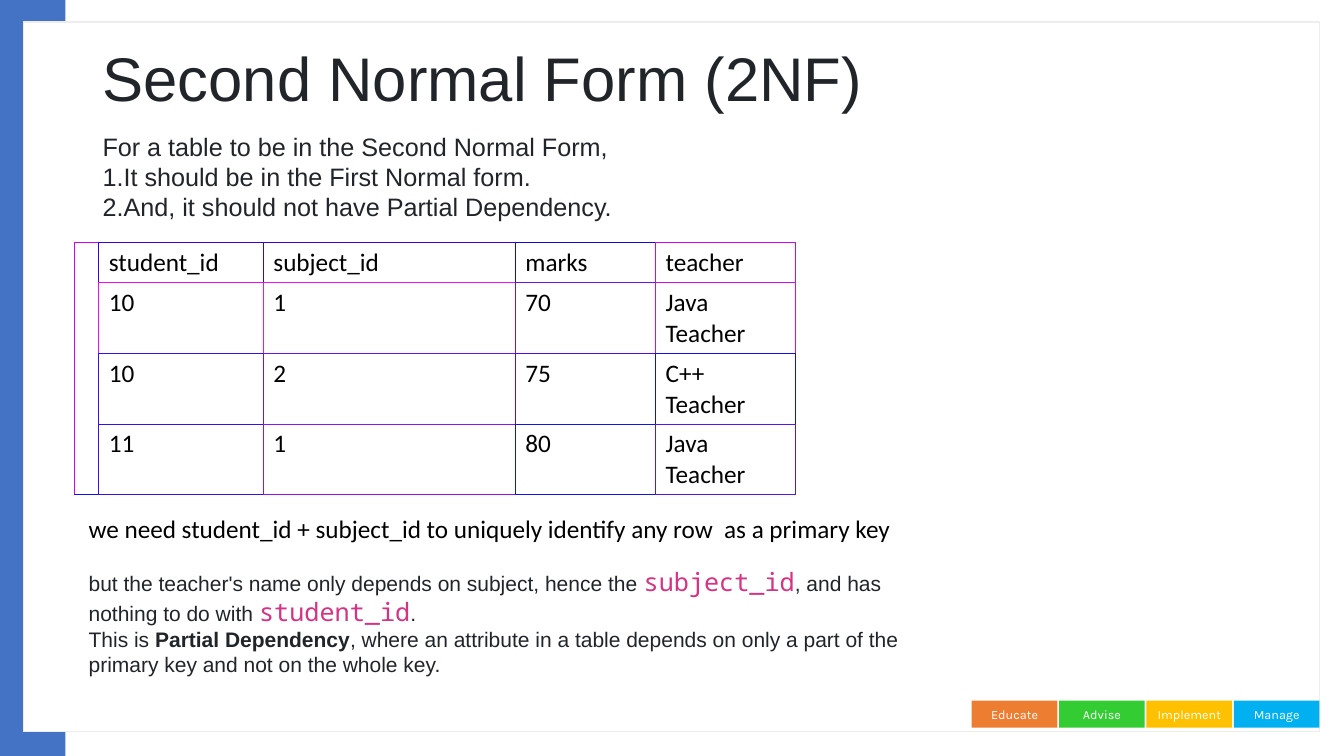
from dataclasses import dataclass

from lxml import etree
from pptx import Presentation
from pptx.dml.color import RGBColor
from pptx.enum import shapes, text
from pptx.oxml import ns
from pptx.util import Pt


@dataclass(frozen=True)
class Theme:
    accent: str = "4472C4"
    paper: str = "FFFFFF"
    frame: str = "EDEDED"
    ink: str = "212529"
    black: str = "000000"
    code: str = "D63384"
    gutter: str = "D004F0"
    gutter_bottom: str = "100FF0"
    title_size: float = 44
    body_size: float = 18
    note_size: float = 15
    badge_size: float = 9
    border_width: float = 0.6
    sans: str = "Arial"
    table_font: str = "Calibri"
    mono: str = "Noto Sans Mono"
    badge_font: str = "Karla"


@dataclass(frozen=True)
class Box:
    left: float
    top: float
    width: float
    height: float

    def lengths(self) -> tuple:
        return Pt(self.left), Pt(self.top), Pt(self.width), Pt(self.height)


@dataclass(frozen=True)
class Badge:
    label: str
    color: str


@dataclass(frozen=True)
class Entry:
    label: str
    border: str


THEME = Theme()
BADGES = [
    Badge("Educate", "ED7D31"),
    Badge("Advise", "33CC33"),
    Badge("Implement", "FFC000"),
    Badge("Manage", "00B0F0"),
]
ENTRIES = [
    [Entry("student_id", "3003F0"), Entry("subject_id", "3003F0"),
     Entry("marks", "1007F0"), Entry("teacher", "D006F0")],
    [Entry("10", "F00EF0"), Entry("1", "F010F0"),
     Entry("70", "700FF0"), Entry("Java Teacher", "D00BF0")],
    [Entry("10", "3010F0"), Entry("2", "700FF0"),
     Entry("75", "500AF0"), Entry("C++ Teacher", "100EF0")],
    [Entry("11", "3010F0"), Entry("1", "9012F0"),
     Entry("80", "1012F0"), Entry("Java Teacher", "5015F0")],
]
COLUMN_WIDTHS = [16.8, 117.6, 180, 100.2, 100.2]
ROW_HEIGHTS = [28.8, 50.4, 50.4, 50.4]


def write(paragraph, content: str, *, size: float, font: str, color: str,
          bold: bool = False) -> None:
    run = paragraph.add_run()
    run.text = content
    run.font.size = Pt(size)
    run.font.name = font
    run.font.bold = bold
    run.font.color.rgb = RGBColor.from_string(color)


def add_rectangle(slide, box: Box, fill: str, line: str | None = None):
    shape = slide.shapes.add_shape(shapes.MSO_SHAPE.RECTANGLE, *box.lengths())
    shape.shadow.inherit = False
    shape.fill.solid()
    shape.fill.fore_color.rgb = RGBColor.from_string(fill)
    if line:
        shape.line.color.rgb = RGBColor.from_string(line)
        shape.line.width = Pt(1)
    else:
        shape.line.fill.background()
    return shape


def add_text_frame(slide, box: Box):
    frame = slide.shapes.add_textbox(*box.lengths()).text_frame
    frame.word_wrap = True
    return frame


def number(paragraph) -> None:
    properties = paragraph._p.get_or_add_pPr()
    properties.set("marL", "0")
    properties.set("indent", "0")
    etree.SubElement(properties, ns.qn("a:buAutoNum"), type="arabicPeriod")


def set_borders(cell, **colors: str) -> None:
    properties = cell._tc.get_or_add_tcPr()
    for position, side in enumerate("LRTB"):
        line = etree.Element(ns.qn(f"a:ln{side}"), w=str(Pt(THEME.border_width)))
        fill = etree.SubElement(line, ns.qn("a:solidFill"))
        etree.SubElement(fill, ns.qn("a:srgbClr"), val=colors[side])
        properties.insert(position, line)


def add_badges(slide) -> None:
    for index, badge in enumerate(BADGES):
        shape = add_rectangle(slide, Box(694.1 + 62.4 * index, 500.4, 61.2, 19.4), badge.color)
        frame = shape.text_frame
        frame.word_wrap = False
        frame.vertical_anchor = text.MSO_ANCHOR.MIDDLE
        paragraph = frame.paragraphs[0]
        paragraph.alignment = text.PP_ALIGN.CENTER
        write(paragraph, badge.label, size=THEME.badge_size, font=THEME.badge_font,
              color=THEME.paper)


def add_heading(slide) -> None:
    frame = add_text_frame(slide, Box(66.2, 28.8, 828, 104.4))
    frame.vertical_anchor = text.MSO_ANCHOR.MIDDLE
    frame.margin_bottom = Pt(49.1)
    paragraph = frame.paragraphs[0]
    paragraph.line_spacing = 0.9
    write(paragraph, "Second Normal Form (2NF)", size=THEME.title_size, font=THEME.sans,
          color=THEME.ink)


def add_rules(slide) -> None:
    frame = add_text_frame(slide, Box(66.2, 90, 480.2, 72.7))
    style = dict(size=THEME.body_size, font=THEME.sans, color=THEME.ink)
    write(frame.paragraphs[0], "For a table to be in the Second Normal Form,", **style)
    for rule in ("It should be in the First Normal form.",
                 "And, it should not have Partial Dependency."):
        paragraph = frame.add_paragraph()
        number(paragraph)
        write(paragraph, rule, **style)


def add_marks_table(slide) -> None:
    box = Box(53.3, 173.1, sum(COLUMN_WIDTHS), sum(ROW_HEIGHTS))
    table = slide.shapes.add_table(len(ROW_HEIGHTS), len(COLUMN_WIDTHS), *box.lengths()).table
    table.first_row = table.horz_banding = False
    for column, width in zip(table.columns, COLUMN_WIDTHS):
        column.width = Pt(width)
    for row, height in zip(table.rows, ROW_HEIGHTS):
        row.height = Pt(height)
    table.cell(0, 0).merge(table.cell(len(ROW_HEIGHTS) - 1, 0))
    for row_index, entries in enumerate(ENTRIES):
        below = ENTRIES[min(row_index + 1, len(ENTRIES) - 1)]
        gutter = table.cell(row_index, 0)
        gutter.fill.solid()
        gutter.fill.fore_color.rgb = RGBColor.from_string(THEME.paper)
        set_borders(gutter, L=THEME.gutter, T=THEME.gutter, R=entries[0].border,
                    B=THEME.gutter_bottom)
        for index, entry in enumerate(entries):
            cell = table.cell(row_index, index + 1)
            cell.fill.solid()
            cell.fill.fore_color.rgb = RGBColor.from_string(THEME.paper)
            following = entries[min(index + 1, len(entries) - 1)]
            set_borders(cell, L=entry.border, T=entry.border, R=following.border,
                        B=below[index].border)
            write(cell.text_frame.paragraphs[0], entry.label, size=THEME.body_size,
                  font=THEME.table_font, color=THEME.black)


def add_explanation(slide) -> None:
    key = add_text_frame(slide, Box(56.2, 362.9, 676.8, 29.1))
    write(key.paragraphs[0],
          "we need student_id + subject_id to uniquely identify any row  as a primary key",
          size=THEME.body_size, font=THEME.table_font, color=THEME.black)
    frame = add_rectangle(slide, Box(56.2, 400.3, 605.5, 87.1), THEME.paper).text_frame
    frame.word_wrap = True
    frame.vertical_anchor = text.MSO_ANCHOR.MIDDLE
    plain = dict(size=THEME.note_size, font=THEME.sans, color=THEME.ink)
    code = dict(size=THEME.body_size, font=THEME.mono, color=THEME.code)
    passages = [
        [("but the teacher's name only depends on subject, hence the ", plain),
         ("subject_id", code), (", and has nothing to do with ", plain),
         ("student_id", code), (".", plain)],
        [("This is ", plain), ("Partial Dependency", plain | dict(bold=True)),
         (", where an attribute in a table depends on only a part of the primary key "
          "and not on the whole key.", plain)],
    ]
    for index, passage in enumerate(passages):
        paragraph = frame.add_paragraph() if index else frame.paragraphs[0]
        paragraph.alignment = text.PP_ALIGN.LEFT
        for content, style in passage:
            write(paragraph, content, **style)


def main() -> None:
    presentation = Presentation()
    presentation.slide_width, presentation.slide_height = Pt(960), Pt(540)
    slide = presentation.slides.add_slide(presentation.slide_layouts[6])
    add_rectangle(slide, Box(0, 0, 46.8, 540), THEME.accent)
    add_rectangle(slide, Box(16.6, 15.8, 925.9, 506.9), THEME.paper, THEME.frame)
    add_badges(slide)
    add_heading(slide)
    add_rules(slide)
    add_marks_table(slide)
    add_explanation(slide)
    presentation.save("out.pptx")


if __name__ == "__main__":
    main()
